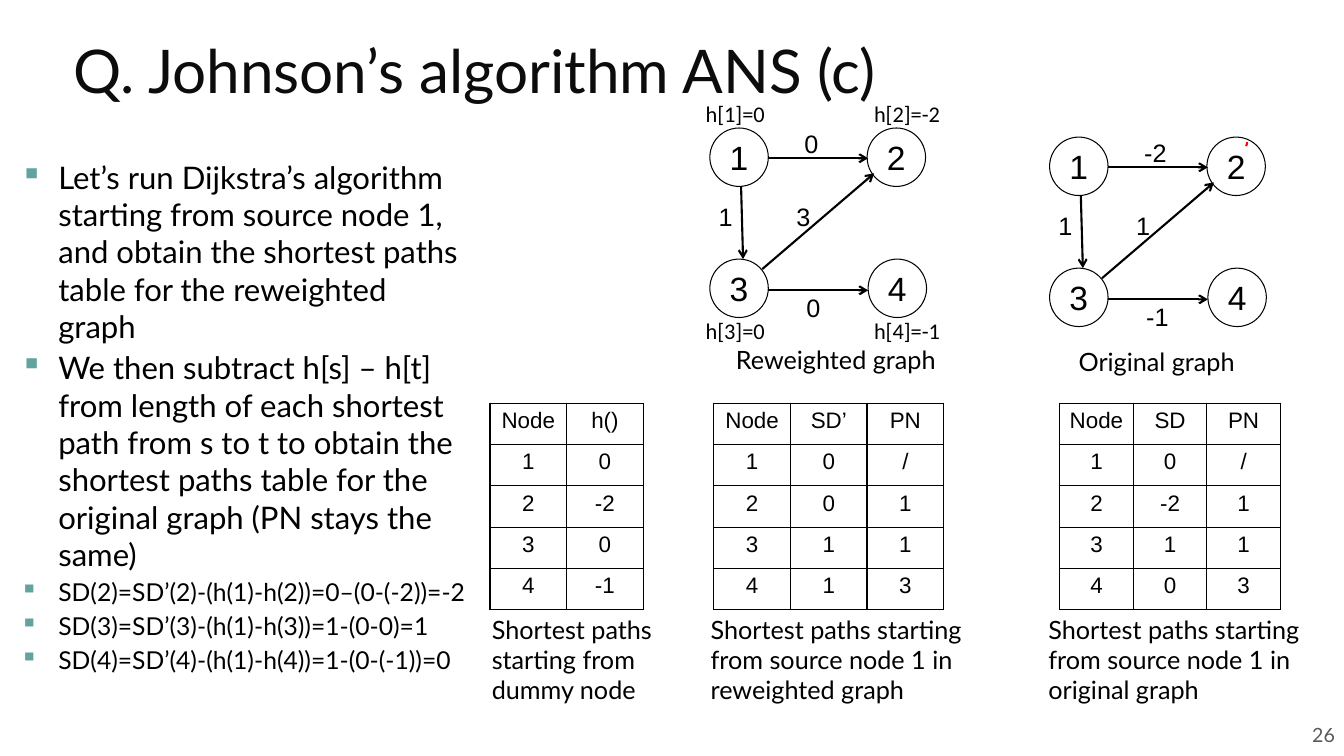
from dataclasses import dataclass
from typing import Any

from lxml.etree import SubElement
from pptx import Presentation
from pptx.dml.color import RGBColor
from pptx.enum.shapes import MSO_CONNECTOR, MSO_SHAPE
from pptx.enum.text import MSO_ANCHOR, MSO_AUTO_SIZE, PP_ALIGN
from pptx.oxml.ns import qn
from pptx.util import Inches, Pt


@dataclass(frozen=True)
class Theme:
    ink: str = "000000"
    heading: str = "0C0C0C"
    paper: str = "FFFFFF"
    bullet: str = "62A39F"
    mark: str = "FF0000"
    muted: str = "595959"
    main: str = "Lato"
    plain: str = "Arial"
    small: str = "Calibri"
    title: float = 43
    node: float = 24
    body: float = 22.2
    label: float = 18
    sums: float = 17.6
    cell: float = 16
    page: float = 14


@dataclass(frozen=True)
class Label:
    text: str
    x: float
    y: float
    w: float
    h: float
    size: float
    face: str
    wrap: bool = True


@dataclass(frozen=True)
class Graph:
    """Corner of the drawing, and weights of edges 1-2, 1-3, 3-2 and 3-4."""
    x: float
    y: float
    weights: tuple[str, ...]


@dataclass(frozen=True)
class Grid:
    x: float
    col: float
    rows: tuple[str, ...]


THEME = Theme()
NODE = 0.58
ROW = 0.41
NODES = (("1", 0, 0), ("2", 1.56, 0), ("3", 0, 1.3), ("4", 1.57, 1.3))
# Each edge: start x, start y, end x, end y, label x, label y
EDGES = (
    (0.58, 0.3, 1.57, 0.3, 0.84, -0.05),
    (0.31, 0.58, 0.33, 1.3, -0.01, 0.68),
    (0.52, 1.4, 1.63, 0.45, 0.76, 0.68),
    (0.58, 1.61, 1.57, 1.61, 0.86, 1.58),
)
GRAPHS = (
    Graph(7.04, 1.27, ("0", "1", "3", "0")),
    Graph(10.41, 1.36, ("-2", "1", "1", "-1")),
)
GRIDS = (
    Grid(4.86, 0.76, ("Node h()", "1 0", "2 -2", "3 0", "4 -1")),
    Grid(7.08, 0.76, ("Node SD’ PN", "1 0 /", "2 0 1", "3 1 1", "4 1 3")),
    Grid(10.51, 0.73, ("Node SD PN", "1 0 /", "2 -2 1", "3 1 1", "4 0 3")),
)
LABELS = (
    Label("Reweighted graph", 7.2, 3.37, 2.28, 0.4, THEME.label, THEME.main),
    Label("Original graph", 10.6, 3.39, 1.86, 0.4, THEME.label, THEME.main),
    Label("Shortest paths starting from dummy node",
          4.78, 6.04, 1.86, 1.01, THEME.label, THEME.main),
    Label("Shortest paths starting from source node 1 in reweighted graph",
          6.95, 6.04, 2.8, 1.01, THEME.label, THEME.main),
    Label("Shortest paths starting from source node 1 in original graph",
          10.3, 6.04, 2.8, 1.01, THEME.label, THEME.main),
    Label("h[1]=0", 6.9, 0.94, 0.8, 0.37, THEME.cell, THEME.small, False),
    Label("h[2]=-2", 8.57, 0.94, 0.89, 0.37, THEME.cell, THEME.small, False),
    Label("h[3]=0", 6.9, 3.1, 0.8, 0.37, THEME.cell, THEME.small, False),
    Label("h[4]=-1", 8.57, 3.1, 0.89, 0.37, THEME.cell, THEME.small, False),
)
POINTS = (
    ("Let’s run Dijkstra’s algorithm starting from source node 1, and obtain "
     "the shortest paths table for the reweighted graph", THEME.body),
    ("We then subtract h[s] – h[t] from length of each shortest path from s to t "
     "to obtain the shortest paths table for the original graph "
     "(PN stays the same)", THEME.body),
    ("SD(2)=SD’(2)-(h(1)-h(2))=0–(0-(-2))=-2", THEME.sums),
    ("SD(3)=SD’(3)-(h(1)-h(3))=1-(0-0)=1", THEME.sums),
    ("SD(4)=SD’(4)-(h(1)-h(4))=1-(0-(-1))=0", THEME.sums),
)


def rgb(code: str) -> RGBColor:
    return RGBColor.from_string(code)


def apply(item: Any, values: dict[str, Any]) -> None:
    for name, value in values.items():
        setattr(item, name, value)


def write(para: Any, text: str, size: float, face: str, ink: str = THEME.ink,
          **values: Any) -> None:
    run = para.add_run()
    run.text = text
    apply(run.font, {"size": Pt(size), "name": face})
    run.font.color.rgb = rgb(ink)
    apply(para, values)


def add_label(slide: Any, label: Label, ink: str = THEME.ink, **values: Any) -> None:
    box = slide.shapes.add_textbox(*map(Inches, (label.x, label.y, label.w, label.h)))
    apply(box.text_frame, {"word_wrap": label.wrap,
                           "auto_size": MSO_AUTO_SIZE.SHAPE_TO_FIT_TEXT})
    write(box.text_frame.paragraphs[0], label.text, label.size, label.face, ink, **values)


def add_arrow(slide: Any, ends: tuple[float, ...]) -> None:
    line = slide.shapes.add_connector(MSO_CONNECTOR.STRAIGHT, *map(Inches, ends))
    line.line.color.rgb = rgb(THEME.ink)
    line.line.width = Pt(1.5)
    SubElement(line.line._get_or_add_ln(), qn("a:tailEnd"), type="arrow")
    SubElement(line._element.spPr, qn("a:effectLst"))


def add_graph(slide: Any, graph: Graph) -> None:
    for name, dx, dy in NODES:
        node = slide.shapes.add_shape(
            MSO_SHAPE.OVAL, *map(Inches, (graph.x + dx, graph.y + dy, NODE, NODE)))
        node.shadow.inherit = False
        node.fill.solid()
        node.fill.fore_color.rgb = rgb(THEME.paper)
        node.line.color.rgb = rgb(THEME.ink)
        node.line.width = Pt(0.75)
        apply(node.text_frame, {"word_wrap": False, "vertical_anchor": MSO_ANCHOR.MIDDLE})
        write(node.text_frame.paragraphs[0], name, THEME.node, THEME.plain,
              alignment=PP_ALIGN.CENTER)
    for (x1, y1, x2, y2, dx, dy), weight in zip(EDGES, graph.weights):
        add_arrow(slide, (graph.x + x1, graph.y + y1, graph.x + x2, graph.y + y2))
        add_label(slide, Label(weight, graph.x + dx, graph.y + dy, 0.5, 0.4,
                               THEME.label, THEME.plain))


def add_border(cell: Any) -> None:
    props = cell._tc.get_or_add_tcPr()
    for index, side in enumerate(("a:lnL", "a:lnR", "a:lnT", "a:lnB")):
        line = props.makeelement(qn(side), {"w": str(Pt(1))})
        fill = SubElement(line, qn("a:solidFill"))
        SubElement(fill, qn("a:srgbClr"), val=THEME.ink)
        props.insert(index, line)


def add_grid(slide: Any, grid: Grid) -> None:
    rows = [row.split() for row in grid.rows]
    count = len(rows[0])
    table = slide.shapes.add_table(
        len(rows), count,
        *map(Inches, (grid.x, 4, count * grid.col, len(rows) * ROW))).table
    apply(table, {"first_row": False, "horz_banding": False})
    for col in table.columns:
        col.width = Inches(grid.col)
    for r, row in enumerate(rows):
        table.rows[r].height = Inches(ROW)
        for c, text in enumerate(row):
            cell = table.cell(r, c)
            apply(cell, {"margin_left": Inches(0.08), "margin_right": Inches(0.08)})
            cell.fill.background()
            write(cell.text_frame.paragraphs[0], text, THEME.cell, THEME.plain,
                  alignment=PP_ALIGN.CENTER)
            add_border(cell)


def add_points(slide: Any) -> None:
    frame = slide.shapes.add_textbox(*map(Inches, (0.1, 1.52, 4.65, 5.65))).text_frame
    frame.word_wrap = True
    for index, (text, size) in enumerate(POINTS):
        para = frame.add_paragraph() if index else frame.paragraphs[0]
        write(para, text, size, THEME.main, space_before=Pt(3 if index else 0))
        props = para._p.get_or_add_pPr()
        apply_indent = {"marL": Inches(0.38), "indent": Inches(-0.38)}
        for name, value in apply_indent.items():
            props.set(name, str(value))
        SubElement(SubElement(props, qn("a:buClr")), qn("a:srgbClr"), val=THEME.bullet)
        SubElement(props, qn("a:buChar"), char="▪")


def add_title(slide: Any) -> None:
    title = slide.shapes.title
    apply(title, {"left": Inches(0.63), "top": Inches(0.12),
                  "width": Inches(12.23), "height": Inches(1.27)})
    title.text_frame.vertical_anchor = MSO_ANCHOR.MIDDLE
    write(title.text_frame.paragraphs[0], "Q. Johnson’s algorithm ANS (c)", THEME.title,
          THEME.main, THEME.heading, alignment=PP_ALIGN.LEFT, line_spacing=0.8)


def add_mark(slide: Any) -> None:
    pen = slide.shapes.build_freeform(Inches(12.37), Inches(1.41))
    pen.add_line_segments([(Inches(12.37), Inches(1.42)),
                           (Inches(12.36), Inches(1.45))], close=False)
    mark = pen.convert_to_shape()
    mark.shadow.inherit = False
    mark.fill.background()
    mark.line.color.rgb = rgb(THEME.mark)
    mark.line.width = Pt(1.5)


def main() -> None:
    deck = Presentation()
    apply(deck, {"slide_width": Inches(13.33), "slide_height": Inches(7.5)})
    slide = deck.slides.add_slide(deck.slide_layouts[5])
    add_title(slide)
    for graph in GRAPHS:
        add_graph(slide, graph)
    for grid in GRIDS:
        add_grid(slide, grid)
    add_points(slide)
    for label in LABELS:
        add_label(slide, label)
    add_mark(slide)
    add_label(slide, Label("26", 12.71, 7.12, 0.63, 0.37, THEME.page, THEME.main),
              THEME.muted, alignment=PP_ALIGN.RIGHT)
    deck.save("out.pptx")


if __name__ == "__main__":
    main()
